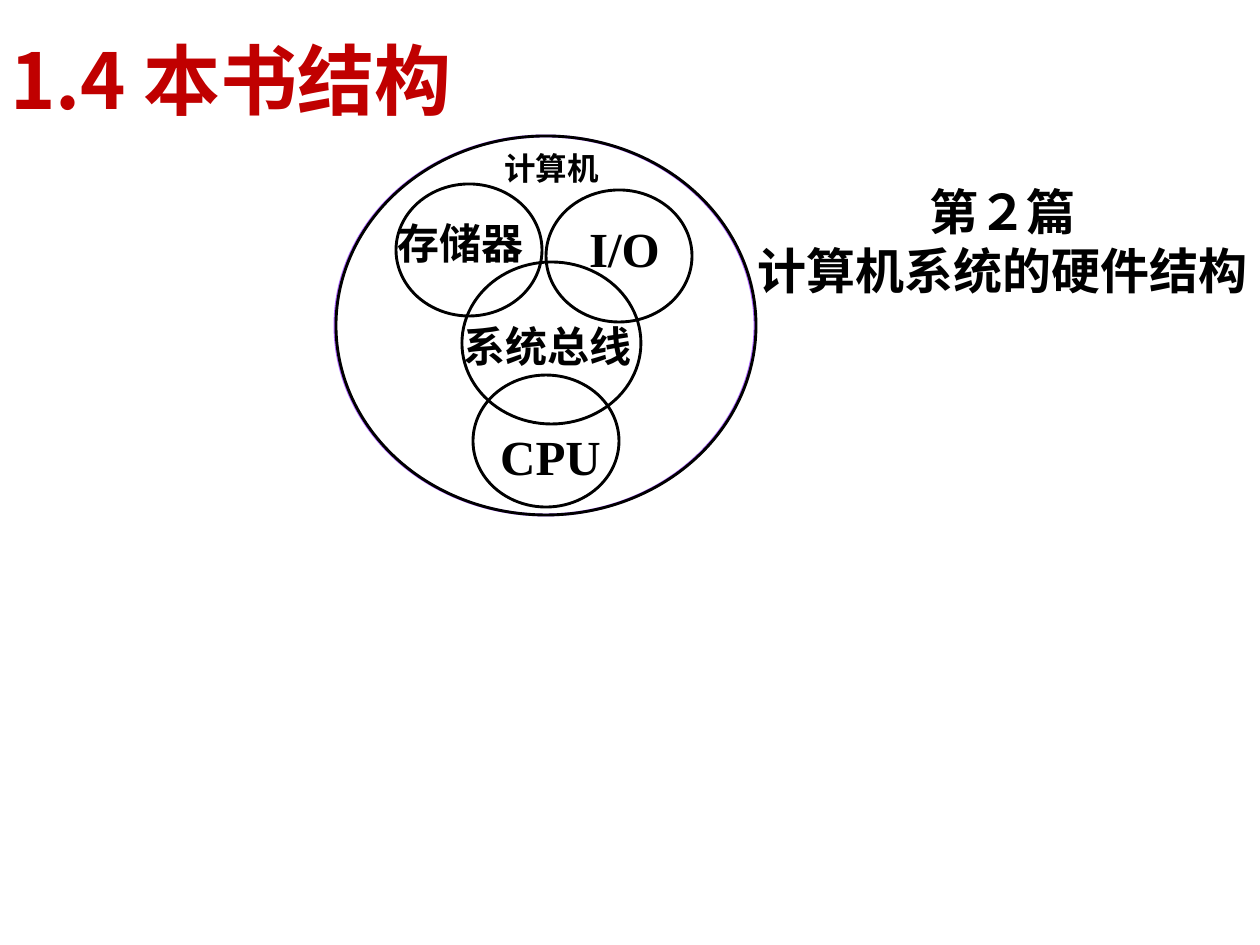
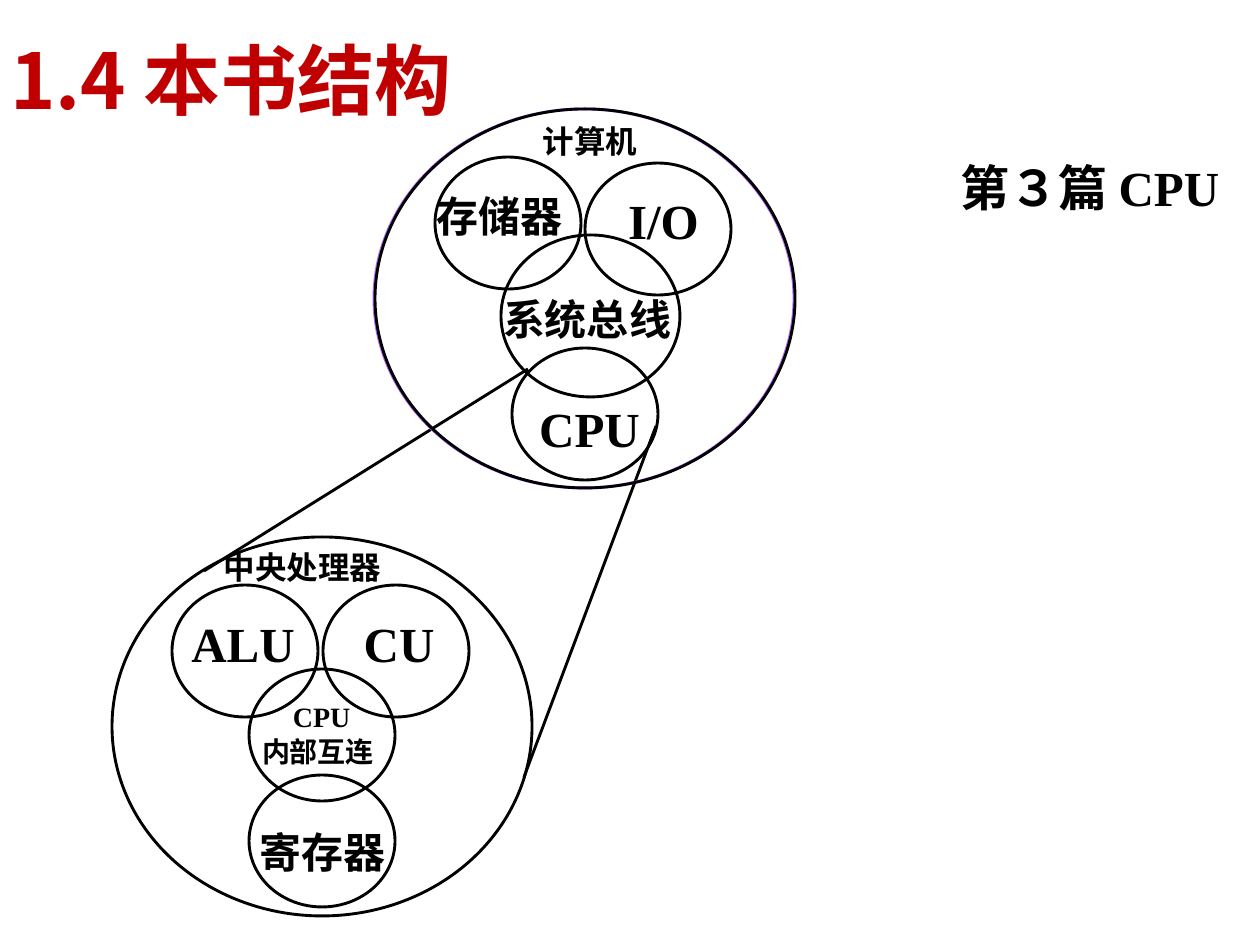
from pptx import Presentation
from pptx.dml.color import RGBColor
from pptx.enum.shapes import MSO_CONNECTOR, MSO_SHAPE
from pptx.enum.text import MSO_AUTO_SIZE, PP_ALIGN
from pptx.oxml.ns import qn
from pptx.util import Emu, Pt
from lxml.etree import SubElement

PX = 914400 / 126
COLORS = {"ink": "000000", "title": "C00000", "halo": "AF67FF"}
SANS, SERIF, TITLE = "Arial", "Times New Roman", "Noto Sans CJK SC"
LEFT, CENTER = PP_ALIGN.LEFT, PP_ALIGN.CENTER
NO_INSET = {"margin_left": 0, "margin_top": 0, "margin_right": 0, "margin_bottom": 0}
SMALL = (146, 132)
LARGE = (420, 379)

COMPUTER_CIRCLES = [(462, 262, 179, 162), (396, 184, *SMALL), (546, 190, *SMALL),
                    (473, 375, *SMALL), (336, 136, *LARGE)]
COMPUTER_LABELS = [
    ("计算机", (504, 149, 96, 38), 18, SANS, LEFT),
    ("I/O", (573, 218, 103, 59), 28, SERIF, CENTER),
    ("系统总线", (463, 321, 170, 50), 24, SANS, CENTER),
    ("存储器", (398, 218, 129, 50), 24, SANS, LEFT),
    ("CPU", (500, 426, 101, 59), 28, SERIF, CENTER),
]
PROCESSOR_CIRCLES = [(249, 669, *SMALL), (172, 585, *SMALL), (323, 585, *SMALL),
                     (249, 775, *SMALL), (112, 537, *LARGE)]
PROCESSOR_LABELS = [
    ("CPU", (293, 700, 176, 34), 16, SERIF, LEFT),
    ("内部互连", (262, 735, 132, 34), 16, SANS, LEFT),
    ("ALU", (186, 614, 114, 59), 28, SERIF, CENTER),
    ("CU", (359, 614, 80, 59), 28, SERIF, CENTER),
    ("寄存器", (258, 827, 129, 50), 24, SANS, CENTER),
    ("中央处理器", (224, 548, 330, 38), 18, SANS, LEFT),
]
ZOOM_LINES = [(528, 369, 204, 571), (656, 426, 524, 777)]


def px(*lengths):
    """Turn px lengths into EMU."""
    return [Emu(round(n * PX)) for n in lengths]


def rgb(name):
    """Look up a named colour."""
    return RGBColor.from_string(COLORS[name])


def apply(target, values):
    """Set each attribute in values on target."""
    for name, value in values.items():
        setattr(target, name, value)


def add_run(p, text, size, font, color="ink"):
    """Add a bold run."""
    r = p.add_run()
    r.text = text
    apply(r.font, {"size": Pt(size), "name": font, "bold": True})
    r.font.color.rgb = rgb(color)


def add_text(s, box, lines, frame, paragraph):
    """Add a text box whose lines are lists of run arguments."""
    tf = s.shapes.add_textbox(*px(*box)).text_frame
    apply(tf, frame)
    for i, runs in enumerate(lines):
        p = tf.add_paragraph() if i else tf.paragraphs[0]
        apply(p, paragraph)
        for run in runs:
            add_run(p, *run)


def add_title(s):
    """Add the section title."""
    add_text(s, (-50, 26, 672, 106), [[("1.4 本书结构", 44, TITLE, "title")]],
             {"word_wrap": True, "margin_left": px(60)[0]}, {"line_spacing": 1.0})


def add_heading(s, box, lines, wrap):
    """Add the centred heading of a part of the book."""
    add_text(s, box, lines, {"word_wrap": wrap, "auto_size": MSO_AUTO_SIZE.SHAPE_TO_FIT_TEXT},
             {"alignment": CENTER})


def add_circle(s, box, color="ink"):
    """Add an unfilled ellipse."""
    sp = s.shapes.add_shape(MSO_SHAPE.OVAL, *px(*box))
    sp.shadow.inherit = False
    sp.fill.background()
    sp.line.color.rgb = rgb(color)
    sp.line.width = Pt(1.63)


def add_line(s, ends):
    """Add a straight line."""
    line = s.shapes.add_connector(MSO_CONNECTOR.STRAIGHT, *px(*ends))
    line.line.color.rgb = rgb("ink")
    line.line.width = Pt(1.63)
    SubElement(line._element.spPr, qn("a:effectLst"))


def add_diagram(s, circles, labels, dx=0, dy=0):
    """Add overlapping circles with labels, moved by dx and dy."""
    for x, y, w, h in circles:
        add_circle(s, (x + dx, y + dy, w, h))
    for text, (x, y, w, h), size, font, align in labels:
        frame = {**NO_INSET, "word_wrap": align == LEFT,
                 "auto_size": MSO_AUTO_SIZE.SHAPE_TO_FIT_TEXT}
        add_text(s, (x + dx, y + dy, w, h), [[(text, size, font)]], frame,
                 {"alignment": align})


def add_computer(s, dx=0, dy=0):
    """Add the computer diagram with its tinted rim."""
    add_circle(s, (335 + dx, 136 + dy, *LARGE), "halo")
    add_diagram(s, COMPUTER_CIRCLES, COMPUTER_LABELS, dx, dy)


def build_hardware(s):
    """Build the slide on the hardware part."""
    add_heading(s, (741, 175, 523, 131),
                [[("第２篇", 28, SANS)], [("计算机系统的硬件结构", 28, SANS)]], False)
    add_computer(s)
    add_title(s)


def build_processor(s):
    """Build the slide on the processor part."""
    add_diagram(s, PROCESSOR_CIRCLES, PROCESSOR_LABELS)
    for ends in ZOOM_LINES:
        add_line(s, ends)
    add_heading(s, (881, 151, 418, 72),
                [[("第", 28, SANS), ("３", 28, SERIF), ("篇 ", 28, SANS),
                  ("CPU", 28, SERIF)]], True)
    add_computer(s, 39, -27)
    add_title(s)


def main():
    """Build and save the presentation."""
    prs = Presentation()
    prs.slide_width, prs.slide_height = px(1260, 945)
    for build in (build_hardware, build_processor):
        build(prs.slides.add_slide(prs.slide_layouts[6]))
    prs.save("out.pptx")


if __name__ == "__main__":
    main()
